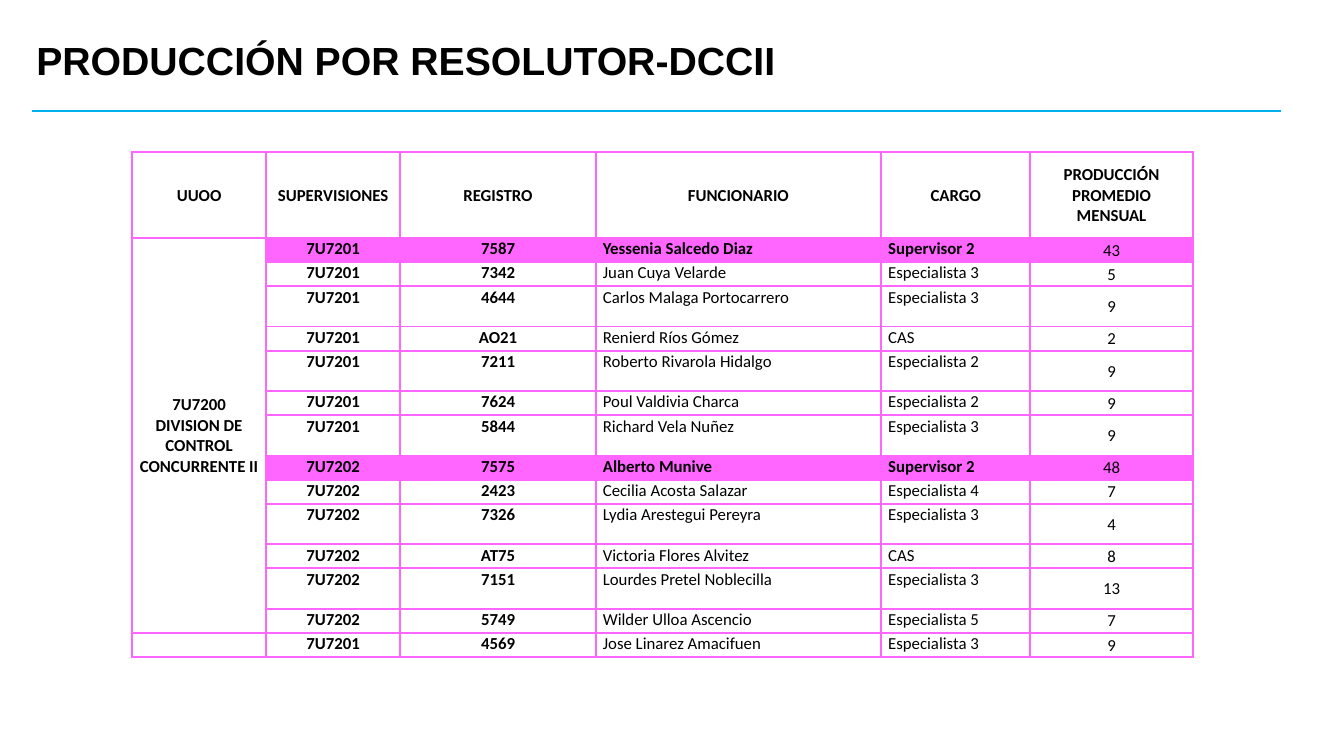
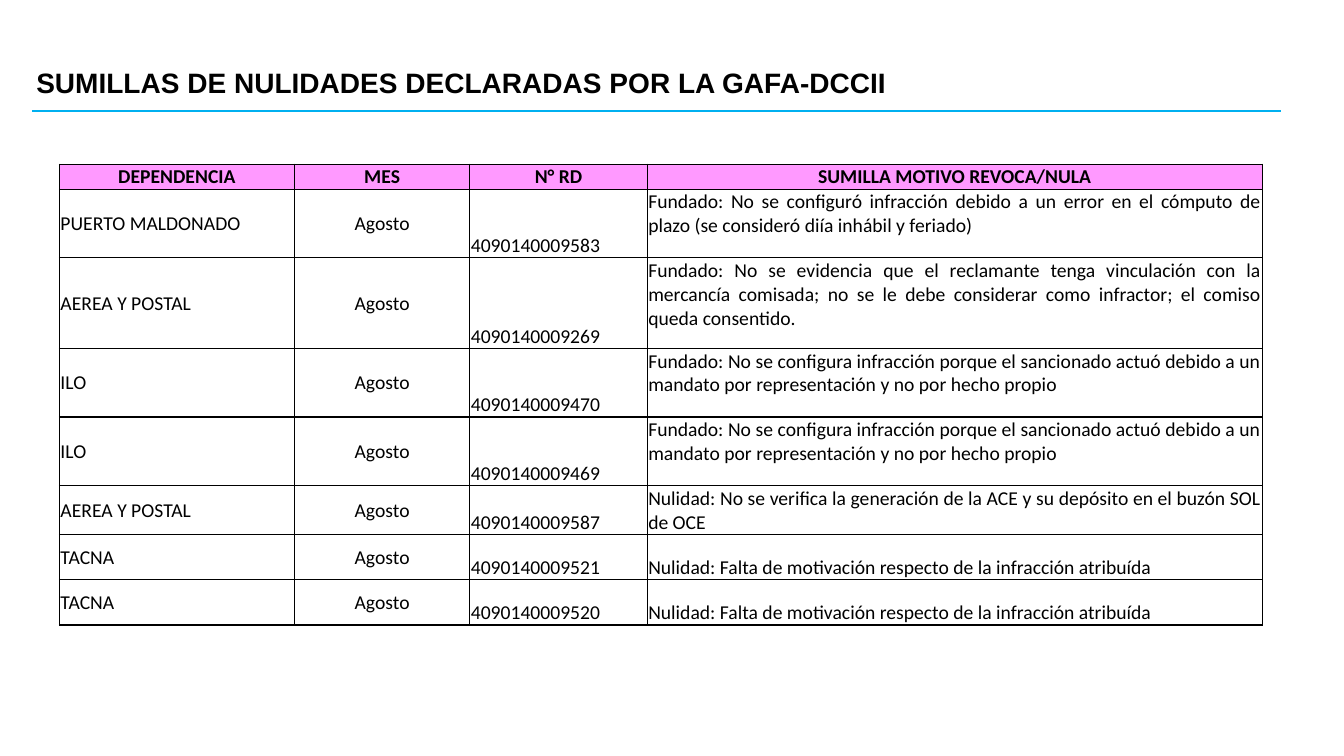
from lxml.etree import SubElement
from pptx import Presentation
from pptx.dml.color import RGBColor
from pptx.enum.shapes import MSO_CONNECTOR
from pptx.enum.text import MSO_ANCHOR, MSO_AUTO_SIZE, PP_ALIGN
from pptx.oxml.ns import qn
from pptx.util import Inches, Pt

HUES = {"ink": "000000", "rule": "00B0F0", "pink": "FF66FF", "light": "FF99FF"}
LEFT, MID, FULL = PP_ALIGN.LEFT, PP_ALIGN.CENTER, PP_ALIGN.JUSTIFY
TOP, CORE, BASE = MSO_ANCHOR.TOP, MSO_ANCHOR.MIDDLE, MSO_ANCHOR.BOTTOM

STAFF_HEAD = ["UUOO", "SUPERVISIONES", "REGISTRO", "FUNCIONARIO", "CARGO",
              "PRODUCCIÓN PROMEDIO MENSUAL"]
UNIT = "7U7200 DIVISION DE CONTROL CONCURRENTE II"
STAFF = [
    ("7U7201", "7587", "Yessenia Salcedo Diaz", "Supervisor 2", "43"),
    ("7U7201", "7342", "Juan Cuya Velarde", "Especialista 3", "5"),
    ("7U7201", "4644", "Carlos Malaga Portocarrero", "Especialista 3", "9"),
    ("7U7201", "AO21", "Renierd Ríos Gómez", "CAS", "2"),
    ("7U7201", "7211", "Roberto Rivarola Hidalgo", "Especialista 2", "9"),
    ("7U7201", "7624", "Poul Valdivia Charca", "Especialista 2", "9"),
    ("7U7201", "5844", "Richard Vela Nuñez", "Especialista 3", "9"),
    ("7U7202", "7575", "Alberto Munive", "Supervisor 2", "48"),
    ("7U7202", "2423", "Cecilia Acosta Salazar", "Especialista 4", "7"),
    ("7U7202", "7326", "Lydia Arestegui Pereyra", "Especialista 3", "4"),
    ("7U7202", "AT75", "Victoria Flores Alvitez", "CAS", "8"),
    ("7U7202", "7151", "Lourdes Pretel Noblecilla", "Especialista 3", "13"),
    ("7U7202", "5749", "Wilder Ulloa Ascencio", "Especialista 5", "7"),
    ("7U7201", "4569", "Jose Linarez Amacifuen", "Especialista 3", "9"),
]
TALL = {3, 5, 7, 10, 12}

CASE_HEAD = ["DEPENDENCIA", "MES", "N° RD", "SUMILLA MOTIVO REVOCA/NULA"]
PROXY = ("Fundado: No se configura infracción porque el sancionado actuó debido "
         "a un mandato por representación y no por hecho propio")
VAGUE = "Nulidad: Falta de motivación respecto de la infracción atribuída"
CASES = [
    ("PUERTO MALDONADO", "4090140009583",
     "Fundado: No se configuró infracción debido a un error en el cómputo de "
     "plazo (se consideró diía inhábil y feriado)"),
    ("AEREA Y POSTAL", "4090140009269",
     "Fundado: No se evidencia que el reclamante tenga vinculación con la "
     "mercancía comisada; no se le debe considerar como infractor; el comiso "
     "queda consentido."),
    ("ILO", "4090140009470", PROXY),
    ("ILO", "4090140009469", PROXY),
    ("AEREA Y POSTAL", "4090140009587",
     "Nulidad: No se verifica la generación de la ACE y su depósito en el "
     "buzón SOL de OCE"),
    ("TACNA", "4090140009521", VAGUE),
    ("TACNA", "4090140009520", VAGUE),
]


def tint(name):
    return RGBColor.from_string(HUES[name])


class Deck:
    def __init__(self):
        self.show = Presentation()
        self.show.slide_width = Inches(13.33)
        self.show.slide_height = Inches(7.5)
        self.slide = None

    def page(self, text, size, top, height):
        self.slide = self.show.slides.add_slide(self.show.slide_layouts[5])
        self.line(0.32, 12.71, 1.1)
        title = self.slide.shapes.title
        place = {"left": 0.26, "top": top, "width": 11.5, "height": height}
        for key, value in place.items():
            setattr(title, key, Inches(value))
        frame = title.text_frame
        frame.word_wrap = True
        frame.auto_size = MSO_AUTO_SIZE.NONE
        frame.vertical_anchor = CORE
        para = frame.paragraphs[0]
        para.alignment = LEFT
        para.line_spacing = 0.9
        self.words(para, text, name="Arial", size=Pt(size), bold=True)

    def line(self, start, end, top):
        rule = self.slide.shapes.add_connector(
            MSO_CONNECTOR.STRAIGHT, Inches(start), Inches(top), Inches(end), Inches(top))
        rule.line.color.rgb = tint("rule")
        rule.line.width = Pt(1.5)
        SubElement(rule._element.spPr, qn("a:effectLst"))

    def words(self, para, text, **style):
        run = para.add_run()
        run.text = text
        for key, value in style.items():
            setattr(run.font, key, value)
        run.font.color.rgb = tint("ink")

    def grid(self, left, top, wide, high, size, pad, edge, width):
        frame = self.slide.shapes.add_table(
            len(high), len(wide), Inches(left), Inches(top),
            Inches(sum(wide)), Inches(sum(high)))
        table = frame.table
        table.first_row = table.horz_banding = False
        for col, value in zip(table.columns, wide):
            col.width = Inches(value)
        for row, value in zip(table.rows, high):
            row.height = Inches(value)
        for cell in table.iter_cells():
            inset = {"margin_left": pad, "margin_right": pad,
                     "margin_top": 0.01, "margin_bottom": 0}
            for key, value in inset.items():
                setattr(cell, key, Inches(value))
            cell.fill.background()
            self.frame(cell, edge, width)
            SubElement(cell.text_frame.paragraphs[0]._p, qn("a:endParaRPr"),
                       sz=str(size * 100))
        return table

    def frame(self, cell, edge, width):
        props = cell._tc.get_or_add_tcPr()
        for spot, side in enumerate("LRTB"):
            line = SubElement(props, qn("a:ln" + side), w=str(Pt(width)))
            fill = SubElement(line, qn("a:solidFill"))
            SubElement(fill, qn("a:srgbClr"), val=HUES[edge])
            props.insert(spot, line)

    def cell(self, cell, text, size, align, anchor, bold=False, fill=None):
        cell.vertical_anchor = anchor
        if fill:
            cell.fill.solid()
            cell.fill.fore_color.rgb = tint(fill)
        para = cell.text_frame.paragraphs[0]
        para.alignment = align
        self.words(para, text, name="Calibri", size=Pt(size), bold=bold)


def staff(deck):
    deck.page("PRODUCCIÓN POR RESOLUTOR-DCCII", 28, 0.27, 0.7)
    high = [0.85] + [0.4 if row in TALL else 0.24 for row in range(1, len(STAFF) + 1)]
    table = deck.grid(1.31, 1.51, [1.33, 1.33, 1.94, 2.83, 1.48, 1.61], high,
                      12, 0.07, "pink", 1.5)
    for col, text in enumerate(STAFF_HEAD):
        deck.cell(table.cell(0, col), text, 12, MID, CORE, True)
    table.cell(1, 0).merge(table.cell(len(STAFF) - 1, 0))
    deck.cell(table.cell(1, 0), UNIT, 12, MID, CORE, True)
    for row, data in enumerate(STAFF, 1):
        chief = data[3].startswith("Supervisor")
        for col, text in enumerate(data, 1):
            deck.cell(table.cell(row, col), text, 12,
                      LEFT if col in (3, 4) else MID,
                      CORE if col == 5 else TOP,
                      col < 3 or (chief and col < 5),
                      "pink" if chief else None)


def cases(deck):
    deck.page("SUMILLAS DE NULIDADES DECLARADAS POR LA GAFA-DCCII", 20, 0.37, 0.93)
    table = deck.grid(0.59, 1.63, [2.33, 1.74, 1.76, 6.1],
                      [0.24, 0.68, 0.9, 0.68, 0.68, 0.46, 0.45, 0.45],
                      14, 0.01, "ink", 1)
    for col, text in enumerate(CASE_HEAD):
        deck.cell(table.cell(0, col), text, 14, MID, BASE, True, "light")
    for row, (place, code, note) in enumerate(CASES, 1):
        last = (LEFT, BASE) if note == VAGUE else (FULL, TOP)
        style = [(LEFT, CORE), (MID, CORE), (LEFT, BASE), last]
        for col, text in enumerate([place, "Agosto", code, note]):
            deck.cell(table.cell(row, col), text, 14, *style[col])


def main():
    deck = Deck()
    staff(deck)
    cases(deck)
    deck.show.save("out.pptx")


if __name__ == "__main__":
    main()
